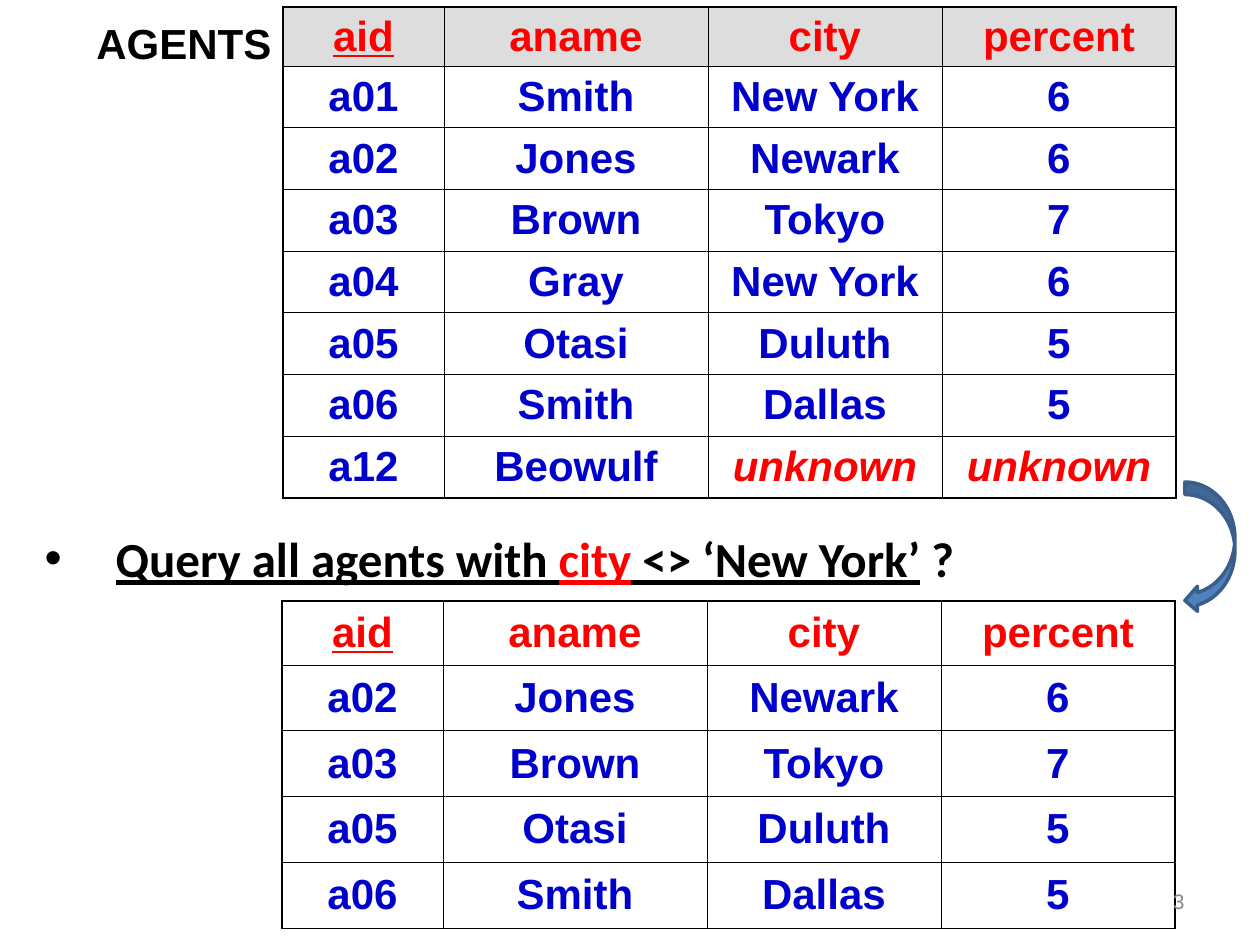
from pptx import Presentation
from pptx.dml.color import RGBColor
from pptx.enum.shapes import MSO_SHAPE
from pptx.enum.text import MSO_ANCHOR, MSO_AUTO_SIZE, PP_ALIGN
from pptx.oxml import parse_xml
from pptx.oxml.ns import nsdecls
from pptx.util import Pt

RED = RGBColor(0xFF, 0x00, 0x00)
BLUE = RGBColor(0x00, 0x00, 0xCC)
BLACK = RGBColor(0x00, 0x00, 0x00)
WHITE = RGBColor(0xFF, 0xFF, 0xFF)
SILVER = RGBColor(0xDD, 0xDD, 0xDD)
GRAY = RGBColor(0x89, 0x89, 0x89)
STEEL = RGBColor(0x4F, 0x81, 0xBD)
NAVY = RGBColor(0x39, 0x5E, 0x8A)

THIN, THICK = Pt(0.45), Pt(1.08)
WIDTHS = (161, 264, 234, 234)
HEAD = ("aid", "aname", "city", "percent")
AGENTS = (
    ("a01", "Smith", "New York", "6"),
    ("a02", "Jones", "Newark", "6"),
    ("a03", "Brown", "Tokyo", "7"),
    ("a04", "Gray", "New York", "6"),
    ("a05", "Otasi", "Duluth", "5"),
    ("a06", "Smith", "Dallas", "5"),
    ("a12", "Beowulf", "unknown", "unknown"),
)
FOUND = [row for row in AGENTS if row[2] not in ("New York", "unknown")]


def px(num):
    return num * 914400 // 126


class Deck:
    face = "Arial"
    size = 24

    def __init__(self):
        self.show = Presentation()
        self.show.slide_width, self.show.slide_height = px(1260), px(945)
        self.slide = self.show.slides.add_slide(self.show.slide_layouts[1])
        title = self.slide.shapes.title.element
        title.getparent().remove(title)

    def style(self, para, color, size=size, bold=True):
        font = para.font
        font.name, font.size, font.bold = self.face, Pt(size), bold
        font.color.rgb = color

    def query(self, x, y, w, h, parts):
        body = self.slide.placeholders[1]
        body.left, body.top, body.width, body.height = map(px, (x, y, w, h))
        frame = body.text_frame
        frame.auto_size = MSO_AUTO_SIZE.NONE
        para = frame.paragraphs[0]
        props = para._p.get_or_add_pPr()
        props.set("marL", str(px(71)))
        props.set("indent", str(-px(71)))
        para.space_before = Pt(0)
        para.font.name, para.font.size, para.font.bold = "Calibri", Pt(28), True
        for text, color, under in parts:
            run = para.add_run()
            run.text = text
            run.font.color.rgb = color
            run.font.underline = under

    def label(self, x, y, w, h, text, color, size=size, bold=True,
              align=PP_ALIGN.LEFT, anchor=MSO_ANCHOR.TOP, top=6):
        box = self.slide.shapes.add_textbox(*map(px, (x, y, w, h)))
        frame = box.text_frame
        frame.word_wrap = True
        frame.margin_top = px(top)
        frame.vertical_anchor = anchor
        para = frame.paragraphs[0]
        para.text, para.alignment = text, align
        self.style(para, color, size, bold)

    def edge(self, cell, sides):
        props = cell._tc.get_or_add_tcPr()
        for side, width in zip("LRTB", sides):
            props.append(parse_xml(
                f'<a:ln{side} {nsdecls("a")} w="{width}"><a:solidFill>'
                f'<a:srgbClr val="{BLACK}"/></a:solidFill></a:ln{side}>'))

    def table(self, x, y, h, head, rows, top, fill=None, base=THIN):
        data = (HEAD, *rows)
        frame = self.slide.shapes.add_table(
            len(data), len(HEAD), px(x), px(y), px(sum(WIDTHS)), px(h))
        grid = frame.table
        grid.first_row = grid.horz_banding = False
        for col, width in zip(grid.columns, WIDTHS):
            col.width = px(width)
        for r, row in enumerate(data):
            grid.rows[r].height = px(h - head) // len(rows) if r else px(head)
            for c, text in enumerate(row):
                cell = grid.cell(r, c)
                self.edge(cell, (
                    THIN if c else THICK,
                    THICK if c == len(HEAD) - 1 else THIN,
                    THIN if r else THICK,
                    base if r == len(rows) else THIN))
                self.fill(cell, fill if r else top)
                cell.margin_top = cell.margin_bottom = px(5)
                cell.vertical_anchor = MSO_ANCHOR.MIDDLE
                para = cell.text_frame.paragraphs[0]
                para.text, para.alignment = text, PP_ALIGN.CENTER
                blank = text == "unknown"
                self.style(para, BLUE if r and not blank else RED)
                if blank:
                    para.font.italic = True
                if text == "aid":
                    para.font.underline = True

    def fill(self, cell, color):
        if color is None:
            cell.fill.background()
        else:
            cell.fill.solid()
            cell.fill.fore_color.rgb = color

    def arrow(self, x, y, w, h):
        shape = self.slide.shapes.add_shape(
            MSO_SHAPE.CURVED_LEFT_ARROW, *map(px, (x, y, w, h)))
        shape.shadow.inherit = False
        shape.fill.solid()
        shape.fill.fore_color.rgb = STEEL
        shape.line.color.rgb = NAVY
        shape.line.width = Pt(2)


def main():
    deck = Deck()
    deck.query(32, 522, 1197, 79, (
        ("Query all agents with ", BLACK, True),
        ("city", RED, True),
        (" <> ‘New York’", BLACK, True),
        (" ?", BLACK, False)))
    deck.table(283, 7, 491, 59, AGENTS, SILVER, base=THICK)
    deck.label(84, 6, 220, 63, "AGENTS", BLACK, top=12)
    deck.arrow(1185, 482, 50, 131)
    deck.table(282, 601, 327, 64, FOUND, WHITE, WHITE)
    deck.label(903, 876, 294, 50, "3", GRAY, 12, False,
               PP_ALIGN.RIGHT, MSO_ANCHOR.MIDDLE)
    deck.show.save("out.pptx")


if __name__ == "__main__":
    main()
